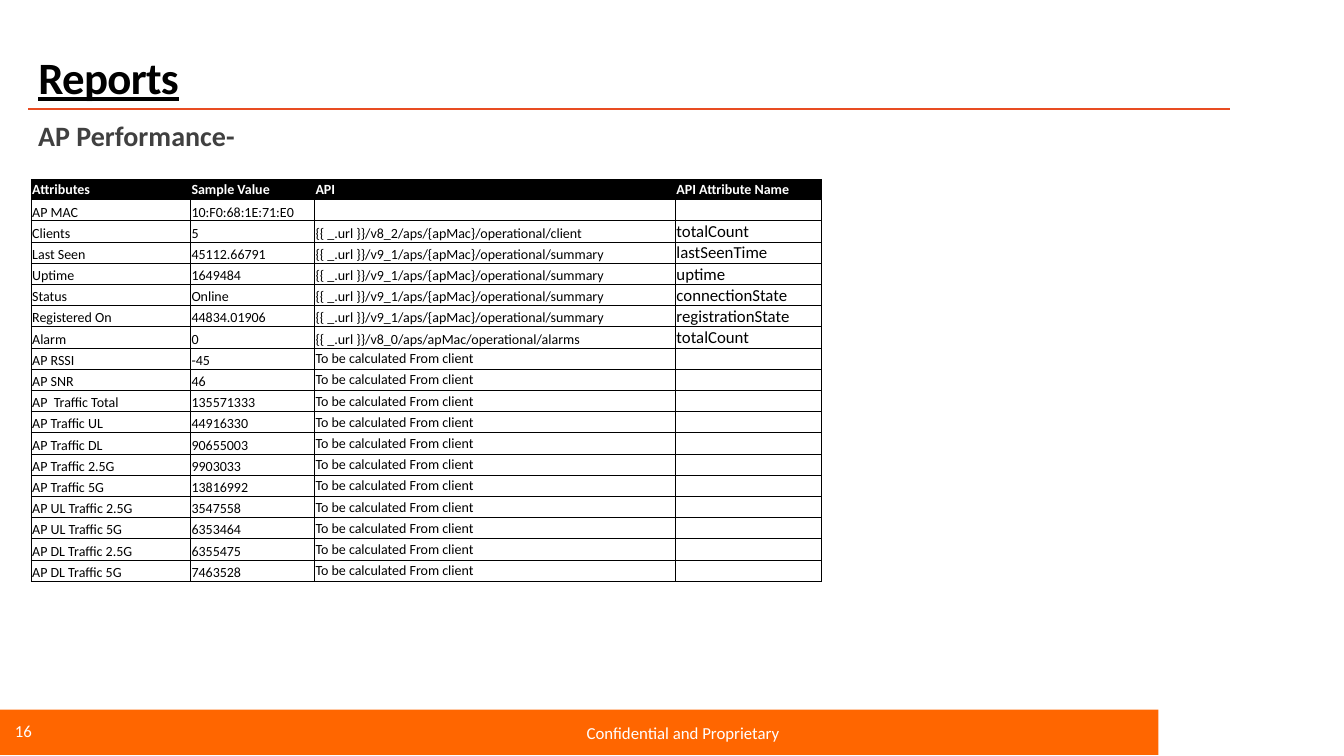
import collections
import pptx
import pptx.dml.color
import pptx.enum.shapes
import pptx.enum.text
import pptx.oxml
import pptx.oxml.ns
import pptx.util

RGBColor = pptx.dml.color.RGBColor
ANCHOR = pptx.enum.text.MSO_ANCHOR
ALIGN = pptx.enum.text.PP_ALIGN

BLACK = RGBColor(0x00, 0x00, 0x00)
WHITE = RGBColor(0xFF, 0xFF, 0xFF)
GREY = RGBColor(0x40, 0x40, 0x40)
ORANGE = RGBColor(0xFF, 0x66, 0x00)
RED = RGBColor(0xE8, 0x4C, 0x22)
FONT = "Calibri"

# The page is a grid of 1333 columns by 750 rows
SLIDE_WIDTH, SLIDE_HEIGHT = pptx.util.Inches(13.33), pptx.util.Inches(7.5)
COLUMN, ROW = SLIDE_WIDTH / 1333, SLIDE_HEIGHT / 750
Box = collections.namedtuple("Box", "left top width height")

TABLE_COLUMNS = [158, 123, 358, 145]
HEADER_HEIGHT, ROW_HEIGHT = 20, 21
HEADINGS = ["Attributes", "Sample Value", "API", "API Attribute Name"]
CLIENT_API = "{{ _.url }}/v8_2/aps/{apMac}/operational/client"
SUMMARY_API = "{{ _.url }}/v9_1/aps/{apMac}/operational/summary"
ALARM_API = "{{ _.url }}/v8_0/aps/apMac/operational/alarms"
CALCULATED = "To be calculated From client"
REPORTED = [
    ("AP MAC", "10:F0:68:1E:71:E0", "", ""),
    ("Clients", "5", CLIENT_API, "totalCount"),
    ("Last Seen", "45112.66791", SUMMARY_API, "lastSeenTime"),
    ("Uptime", "1649484", SUMMARY_API, "uptime"),
    ("Status", "Online", SUMMARY_API, "connectionState"),
    ("Registered On", "44834.01906", SUMMARY_API, "registrationState"),
    ("Alarm", "0", ALARM_API, "totalCount"),
]
DERIVED = [
    ("AP RSSI", "-45"),
    ("AP SNR", "46"),
    ("AP  Traffic Total", "135571333"),
    ("AP Traffic UL", "44916330"),
    ("AP Traffic DL", "90655003"),
    ("AP Traffic 2.5G", "9903033"),
    ("AP Traffic 5G", "13816992"),
    ("AP UL Traffic 2.5G", "3547558"),
    ("AP UL Traffic 5G", "6353464"),
    ("AP DL Traffic 2.5G", "6355475"),
    ("AP DL Traffic 5G", "7463528"),
]


def place(box):
    """Turn a box of grid units into slide lengths."""
    return (round(box.left * COLUMN), round(box.top * ROW),
            round(box.width * COLUMN), round(box.height * ROW))


def write(frame, text, size=12, color=BLACK, bold=False, underline=False,
          align=None, line_spacing=None):
    """Write one paragraph of formatted text and return its span."""
    frame.word_wrap = True
    para = frame.paragraphs[0]
    if align is not None:
        para.alignment = align
    if line_spacing is not None:
        para.line_spacing = line_spacing
    span = para.add_run()
    span.text = text
    span.font.name = FONT
    span.font.size = pptx.util.Pt(size)
    span.font.bold = bold
    span.font.underline = underline
    span.font.color.rgb = color
    return span


def add_footer(page, box):
    band = page.shapes.add_shape(pptx.enum.shapes.MSO_SHAPE.RECTANGLE, *place(box))
    band.shadow.inherit = False
    band.fill.solid()
    band.fill.fore_color.rgb = ORANGE
    band.line.fill.background()
    labels = [("Confidential and Proprietary", Box(box.left + 572, box.top + 8, 527, 40)),
              ("16", Box(box.left + 5, box.top + 6, 143, 40))]
    for text, label_box in labels:
        label = page.shapes.add_textbox(*place(label_box))
        write(label.text_frame, text, color=WHITE)


def add_heading(page, box):
    # Title placeholder
    title = page.shapes.title
    title.left, title.top, title.width, title.height = place(box)
    frame = title.text_frame
    frame.vertical_anchor = ANCHOR.BOTTOM
    frame.auto_size = pptx.enum.text.MSO_AUTO_SIZE.NONE
    span = write(frame, "Reports", size=32, bold=True, underline=True,
                 align=ALIGN.JUSTIFY, line_spacing=1.07)
    span.font._element.set("spc", "-50")

    # Rule along the foot of the title
    left, top, width, height = place(box)
    rule = page.shapes.add_connector(pptx.enum.shapes.MSO_CONNECTOR.STRAIGHT,
                                     left, top + height, left + width, top + height)
    rule.line.color.rgb = RED
    rule.line.width = pptx.util.Pt(1.5)
    rule._element.spPr.append(pptx.oxml.parse_xml(
        f"<a:effectLst {pptx.oxml.ns.nsdecls('a')}/>"))


def add_subtitle(page, box):
    subtitle = page.shapes.add_textbox(*place(box))
    write(subtitle.text_frame, "AP Performance-", size=20, color=GREY, bold=True,
          line_spacing=0.9)


def add_borders(cell):
    properties = cell._tc.get_or_add_tcPr()
    for side in ("lnL", "lnR", "lnT", "lnB"):
        properties.append(pptx.oxml.parse_xml(
            f"<a:{side} {pptx.oxml.ns.nsdecls('a')} w='6350'>"
            f"<a:solidFill><a:srgbClr val='{BLACK}'/></a:solidFill></a:{side}>"))


def fill_cell(cell, text, anchor, background=None, **text_format):
    add_borders(cell)
    cell.margin_left = cell.margin_right = cell.margin_top = pptx.util.Inches(0.01)
    cell.margin_bottom = 0
    cell.vertical_anchor = anchor
    if background is None:
        cell.fill.background()
    else:
        cell.fill.solid()
        cell.fill.fore_color.rgb = background
    if text:
        write(cell.text_frame, text, **text_format)
    else:
        # An empty cell still needs a text size, or its row grows
        cell.text_frame.paragraphs[0]._p.append(pptx.oxml.parse_xml(
            f"<a:endParaRPr {pptx.oxml.ns.nsdecls('a')} sz='1200'/>"))


def add_attribute_table(page, box):
    records = REPORTED + [(name, value, CALCULATED, "") for name, value in DERIVED]
    table = page.shapes.add_table(len(records) + 1, len(HEADINGS), *place(box)).table
    table.first_row = table.horz_banding = False
    for column, width in zip(table.columns, TABLE_COLUMNS):
        column.width = round(width * COLUMN)
    for index, row in enumerate(table.rows):
        row.height = round((ROW_HEIGHT if index else HEADER_HEIGHT) * ROW)

    for cell, heading in zip(table.rows[0].cells, HEADINGS):
        fill_cell(cell, heading, ANCHOR.MIDDLE, background=BLACK,
                  size=10, color=WHITE, bold=True)
    for row_index, record in enumerate(records, start=1):
        for column_index, text in enumerate(record):
            anchor = ANCHOR.MIDDLE if text == CALCULATED else ANCHOR.BOTTOM
            size = 12 if column_index == len(HEADINGS) - 1 else 10
            fill_cell(table.cell(row_index, column_index), text, anchor, size=size)


def main():
    deck = pptx.Presentation()
    deck.slide_width, deck.slide_height = SLIDE_WIDTH, SLIDE_HEIGHT
    page = deck.slides.add_slide(deck.slide_layouts[5])
    table_height = HEADER_HEIGHT + ROW_HEIGHT * (len(REPORTED) + len(DERIVED))
    add_footer(page, Box(0, 704, 1149, 45))
    add_heading(page, Box(28, 43, 1192, 65))
    add_subtitle(page, Box(28, 116, 1192, 525))
    add_attribute_table(page, Box(31, 178, sum(TABLE_COLUMNS), table_height))
    deck.save("out.pptx")


if __name__ == "__main__":
    main()
